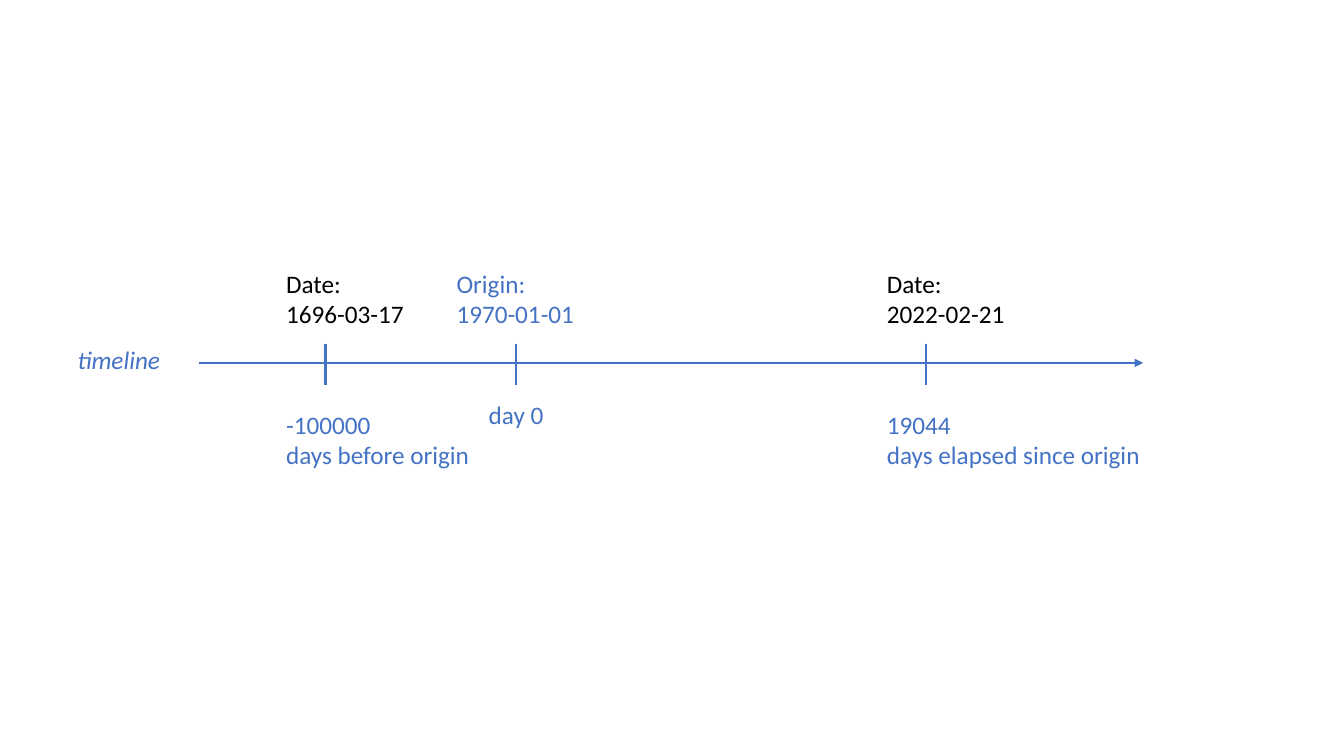
from pptx import Presentation
from pptx.dml.color import RGBColor
from pptx.enum.shapes import MSO_CONNECTOR as Conn
from pptx.enum.text import MSO_AUTO_SIZE as Auto
from pptx.oxml.ns import qn
from pptx.util import Pt
from lxml.etree import SubElement

BLUE = RGBColor(0x44, 0x72, 0xC4)
BLACK = RGBColor(0, 0, 0)

deck = Presentation()
deck.slide_width, deck.slide_height = Pt(960), Pt(540)
slide = deck.slides.add_slide(deck.slide_layouts[6])


def label(text, left, top, width, height=51, color=BLUE, italic=False, wrap=False):
    box = slide.shapes.add_textbox(Pt(left), Pt(top), Pt(width), Pt(height))
    frame = box.text_frame
    frame.text = text
    frame.word_wrap = wrap
    frame.auto_size = Auto.SHAPE_TO_FIT_TEXT
    for para in frame.paragraphs:
        font = para.font
        font.name, font.size = "Calibri", Pt(18)
        font.italic = italic
        font.color.rgb = color


def line(x1, y1, x2, y2, arrow=False):
    link = slide.shapes.add_connector(Conn.STRAIGHT, Pt(x1), Pt(y1), Pt(x2), Pt(y2))
    link.line.color.rgb = BLUE
    link.line.width = Pt(1.5)
    if arrow:
        SubElement(link.line._get_or_add_ln(), qn("a:tailEnd"), type="triangle")
    SubElement(link._element.spPr, qn("a:effectLst"))


# Axis
label("timeline", 48.3, 242.6, 75.6, 29, italic=True)
line(142.5, 259.2, 816.5, 259.2, arrow=True)

# Ticks with the date above each
events = [
    (232.5, 197.3, "Date:\n1696-03-17", BLACK),
    (368.6, 319, "Origin:\n1970-01-01", BLUE),
    (661.7, 626.4, "Date:\n2022-02-21", BLACK),
]
for x, left, date, color in events:
    line(x, 245.5, x, 275.2)
    label(date, left, 188, 99.4, color=color)

# Day counts below the axis
label("day 0", 342, 281.5, 54, 29)
label("-100000\ndays before origin", 197.3, 288.7, 248.4, wrap=True)
label("19044\ndays elapsed since origin", 626.4, 288.7, 248.4, wrap=True)

deck.save("out.pptx")
